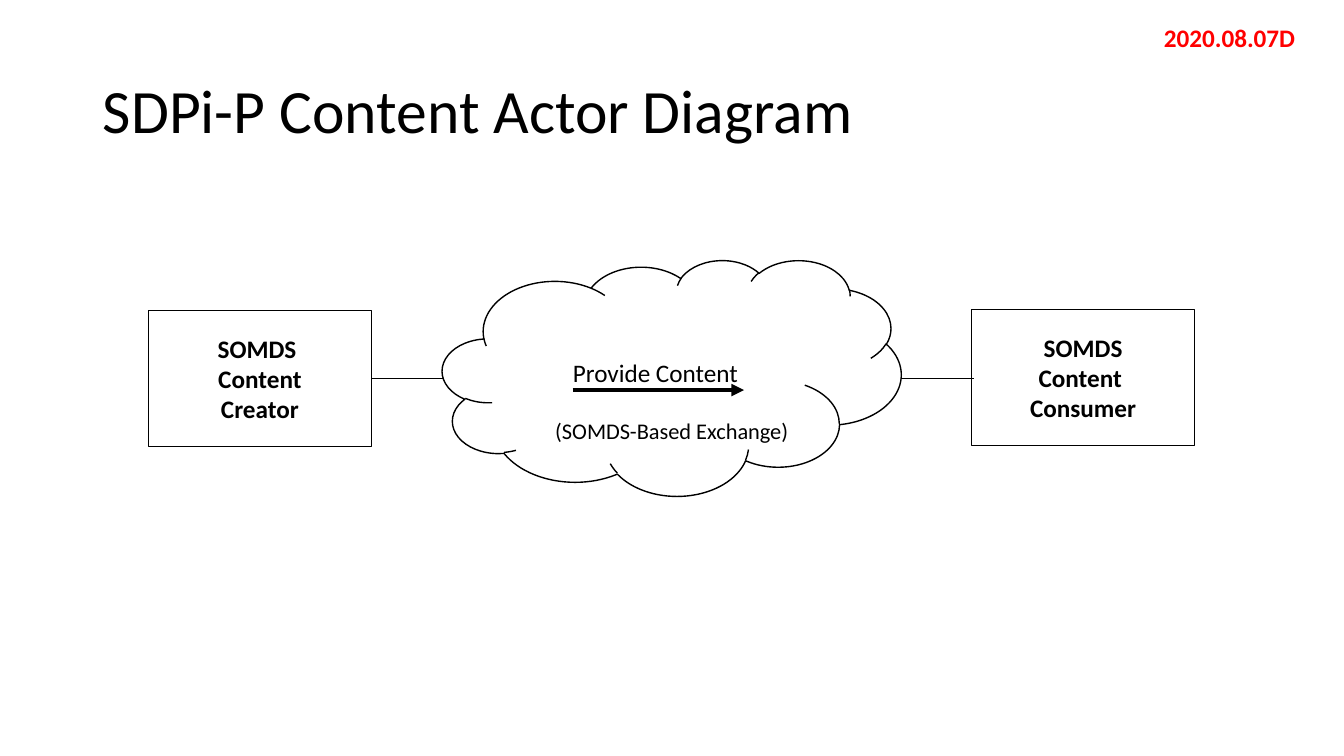
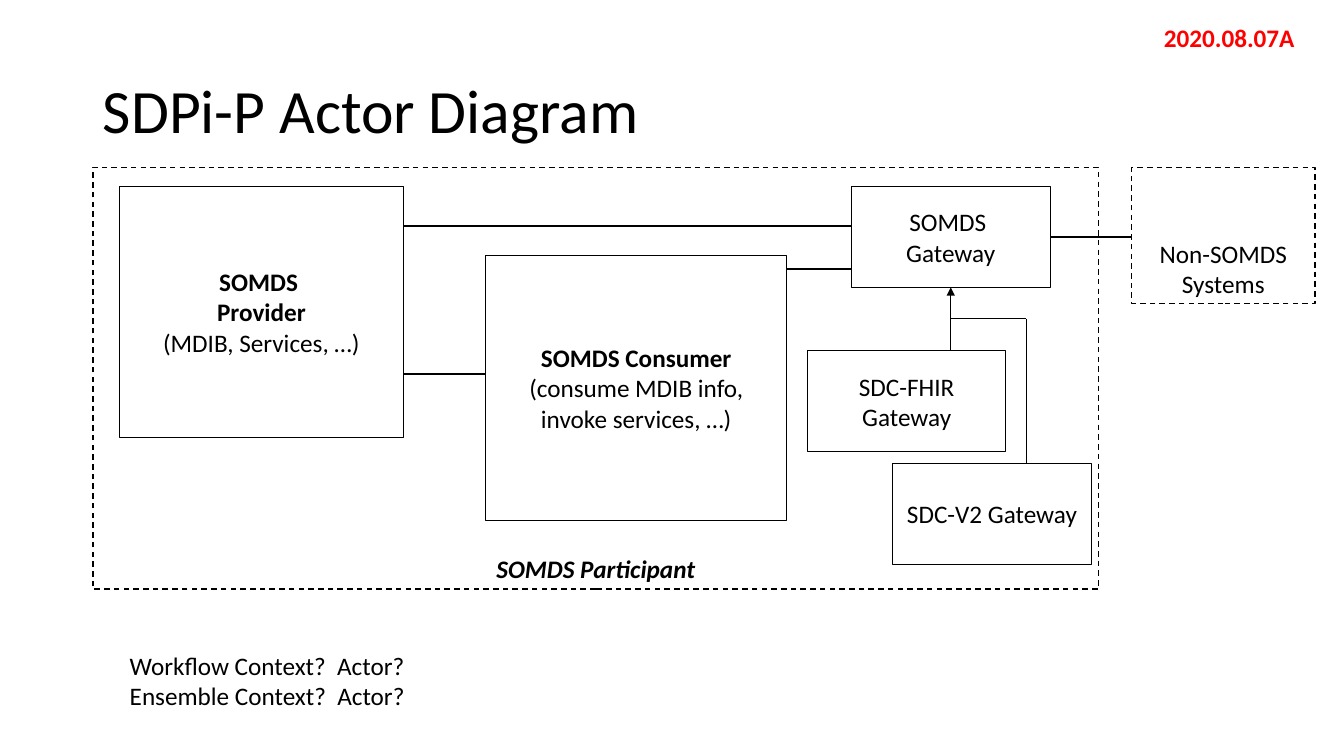
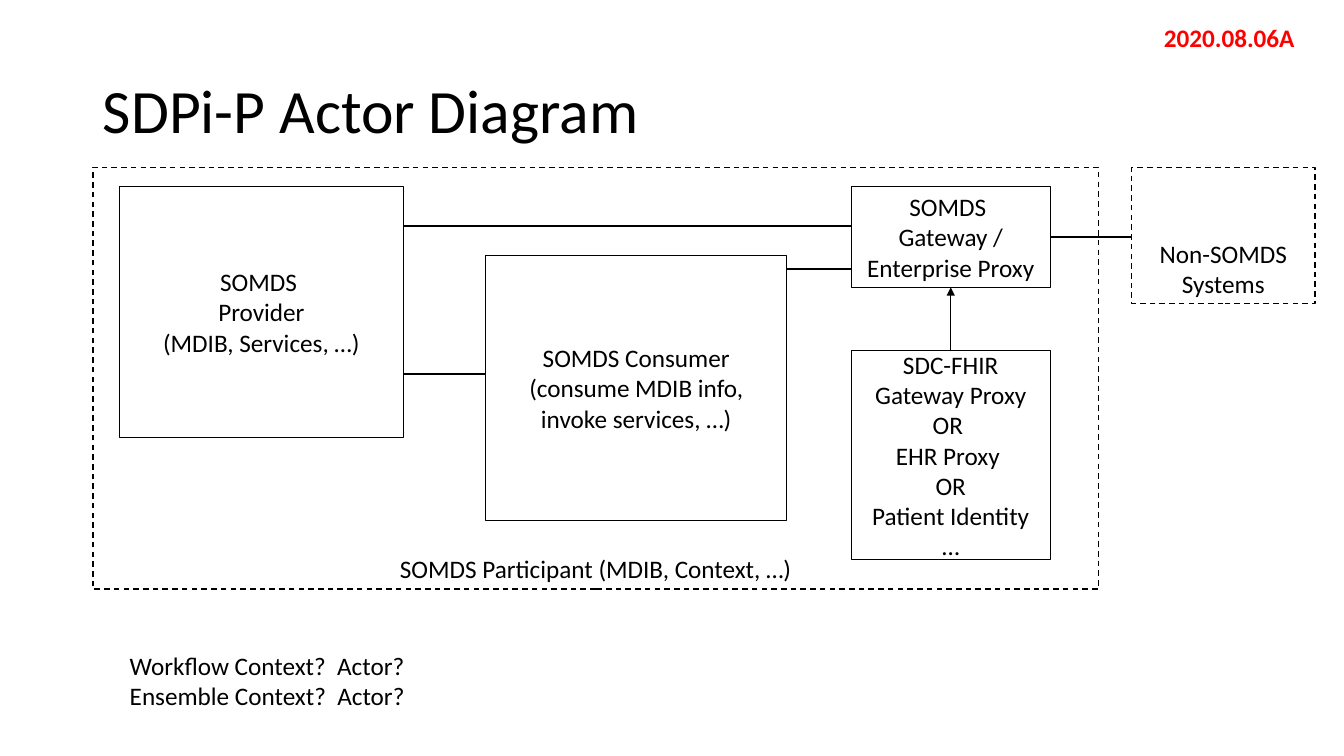
from dataclasses import dataclass, replace

from pptx import Presentation
from pptx.dml.color import RGBColor as Rgb
from pptx.enum.dml import MSO_LINE_DASH_STYLE as Dash
from pptx.enum.shapes import MSO_AUTO_SHAPE_TYPE as Kind
from pptx.enum.shapes import MSO_CONNECTOR_TYPE as Join
from pptx.enum.text import MSO_VERTICAL_ANCHOR as Anchor
from pptx.enum.text import PP_PARAGRAPH_ALIGNMENT as Align
from pptx.oxml.ns import qn
from pptx.slide import Slide
from pptx.text.text import TextFrame as Frame
from pptx.util import Cm, Pt
from lxml.etree import SubElement as Sub

# Shared look
FONT = "Calibri"
COLORS = {"ink": "000000", "paper": "FFFFFF", "stamp": "FF0000"}
TITLE = (2.34, 1.02, 29.21, 3.68)
STAMP = (29.08, 0.43, 4.09, 1.02)

Area = tuple[float, float, float, float]
Lines = tuple[str, ...]


@dataclass(frozen=True)
class Box:
    area: Area
    lines: Lines
    bold: int = 0  # number of leading bold lines
    italic: bool = False
    kind: Kind = Kind.RECTANGLE
    fill: bool = True
    width: float = 0.5
    dash: bool = False


@dataclass(frozen=True)
class Note:
    area: Area
    lines: Lines
    size: int = 18
    color: str = "ink"
    bold: int = 0
    align: Align = Align.LEFT


@dataclass(frozen=True)
class Link:
    start: tuple[float, float]
    end: tuple[float, float]
    width: float = 0.5
    arrow: bool = False


def tint(name: str) -> Rgb:
    return Rgb.from_string(COLORS[name])


def write(frame: Frame, lines: Lines, size: int = 18, color: str = "ink",
          bold: int = 0, italic: bool = False,
          align: Align = Align.CENTER) -> None:
    frame.word_wrap = True
    for num, line in enumerate(lines):
        para = frame.add_paragraph() if num else frame.paragraphs[0]
        para.text = line
        para.alignment = align
        font = para.font
        font.name, font.size = FONT, Pt(size)
        font.bold, font.italic = num < bold, italic
        font.color.rgb = tint(color)


def draw_box(slide: Slide, box: Box) -> None:
    shape = slide.shapes.add_shape(box.kind, *map(Cm, box.area))
    shape.shadow.inherit = False
    if box.fill:
        shape.fill.solid()
        shape.fill.fore_color.rgb = tint("paper")
    else:
        shape.fill.background()
    shape.line.color.rgb = tint("ink")
    shape.line.width = Pt(box.width)
    if box.dash:
        shape.line.dash_style = Dash.DASH
    frame = shape.text_frame
    frame.vertical_anchor = Anchor.BOTTOM if box.dash else Anchor.MIDDLE
    write(frame, box.lines, bold=box.bold, italic=box.italic)


def draw_note(slide: Slide, note: Note) -> None:
    text = slide.shapes.add_textbox(*map(Cm, note.area))
    write(text.text_frame, note.lines, note.size, note.color,
          note.bold, align=note.align)


def draw_link(slide: Slide, link: Link) -> None:
    wire = slide.shapes.add_connector(
        Join.STRAIGHT, *map(Cm, link.start + link.end))
    wire.line.color.rgb = tint("ink")
    wire.line.width = Pt(link.width)
    props = wire._element.spPr
    if link.arrow:
        Sub(props.find(qn("a:ln")), qn("a:tailEnd"), type="triangle")
    Sub(props, qn("a:effectLst"))


def build(title: str, stamp: str, boxes: list[Box], links: list[Link],
          notes: list[Note]) -> None:
    slide = deck.slides.add_slide(deck.slide_layouts[5])
    head = slide.shapes.title
    head.left, head.top, head.width, head.height = map(Cm, TITLE)
    head.text_frame.vertical_anchor = Anchor.MIDDLE
    write(head.text_frame, (title,), 44, align=Align.LEFT)
    head.text_frame.paragraphs[0].line_spacing = 0.9
    for box in boxes:
        draw_box(slide, box)
    for link in links:
        draw_link(slide, link)
    for note in [*notes, Note(STAMP, (stamp,), color="stamp", bold=1)]:
        draw_note(slide, note)


deck = Presentation()
deck.slide_width, deck.slide_height = Cm(33.87), Cm(19.05)

# Content actors
build(
    "SDPi-P Content Actor Diagram", "2020.08.07D",
    [
        Box((3.73, 7.82, 5.64, 3.43), ("SOMDS ", "Content", "Creator"), 3),
        Box((24.49, 7.8, 5.61, 3.43), ("SOMDS", "Content ", "Consumer"), 3),
        Box((11.15, 6.55, 11.56, 5.94), ("Provide Content",),
            kind=Kind.CLOUD, fill=False, width=1),
    ],
    [
        Link((14.43, 9.83), (18.75, 9.83), 3, True),
        Link((9.37, 9.53), (11.18, 9.53)),
        Link((22.71, 9.53), (24.54, 9.53)),
    ],
    [Note((11.15, 10.39, 11.56, 0.94), ("(SOMDS-Based Exchange)",), 16,
          align=Align.CENTER)],
)

# Parts common to both actor diagrams
maker = Box((3.02, 4.7, 7.14, 6.32),
            ("SOMDS ", "Provider", "(MDIB, Services, …)"))
user = Box((12.24, 6.43, 7.59, 6.68),
           ("SOMDS Consumer", "(consume MDIB info, invoke services, …)"))
gate = Box((21.46, 4.7, 5, 2.54), ("SOMDS ", "Gateway"))
group = Box((2.34, 4.22, 25.35, 10.62), ("SOMDS Participant",),
            fill=False, width=1, dash=True)
other = replace(group, area=(28.52, 4.22, 4.62, 3.43),
                lines=("Non-SOMDS Systems",))
links = [
    Link((26.46, 5.97), (28.52, 5.97), 1.5),
    Link((10.16, 9.42), (12.24, 9.42), 1.5),
    Link((10.16, 5.69), (21.46, 5.69), 1.5),
    Link((19.83, 6.78), (21.46, 6.78), 1.5),
    Link((23.96, 8.84), (23.96, 7.24), arrow=True),
]
asks = Note((3.02, 16.26, 14.6, 1.8),
            ("Workflow Context?  Actor?", "Ensemble Context?  Actor?"))

# Actors with two gateways
build(
    "SDPi-P Actor Diagram", "2020.08.07A",
    [
        replace(maker, bold=2),
        replace(user, bold=1),
        gate,
        Box((20.35, 8.84, 5, 2.54), ("SDC-FHIR Gateway",)),
        replace(group, bold=1, italic=True),
        other,
        Box((22.5, 11.68, 5, 2.54), ("SDC-V2 Gateway",)),
    ],
    [
        *links,
        Link((25.86, 11.68), (25.86, 8.03)),
        Link((25.86, 8.03), (23.96, 8.03)),
    ],
    [asks],
)

# Actors with proxies
build(
    "SDPi-P Actor Diagram", "2020.08.06A",
    [
        maker,
        user,
        replace(gate, lines=("SOMDS ", "Gateway / Enterprise Proxy")),
        Box((21.46, 8.84, 5, 5.26),
            ("SDC-FHIR Gateway Proxy OR ", "EHR Proxy ", "OR",
             "Patient Identity", "…")),
        replace(group, lines=("SOMDS Participant (MDIB, Context, …)",)),
        other,
    ],
    links,
    [asks],
)

deck.save("out.pptx")
